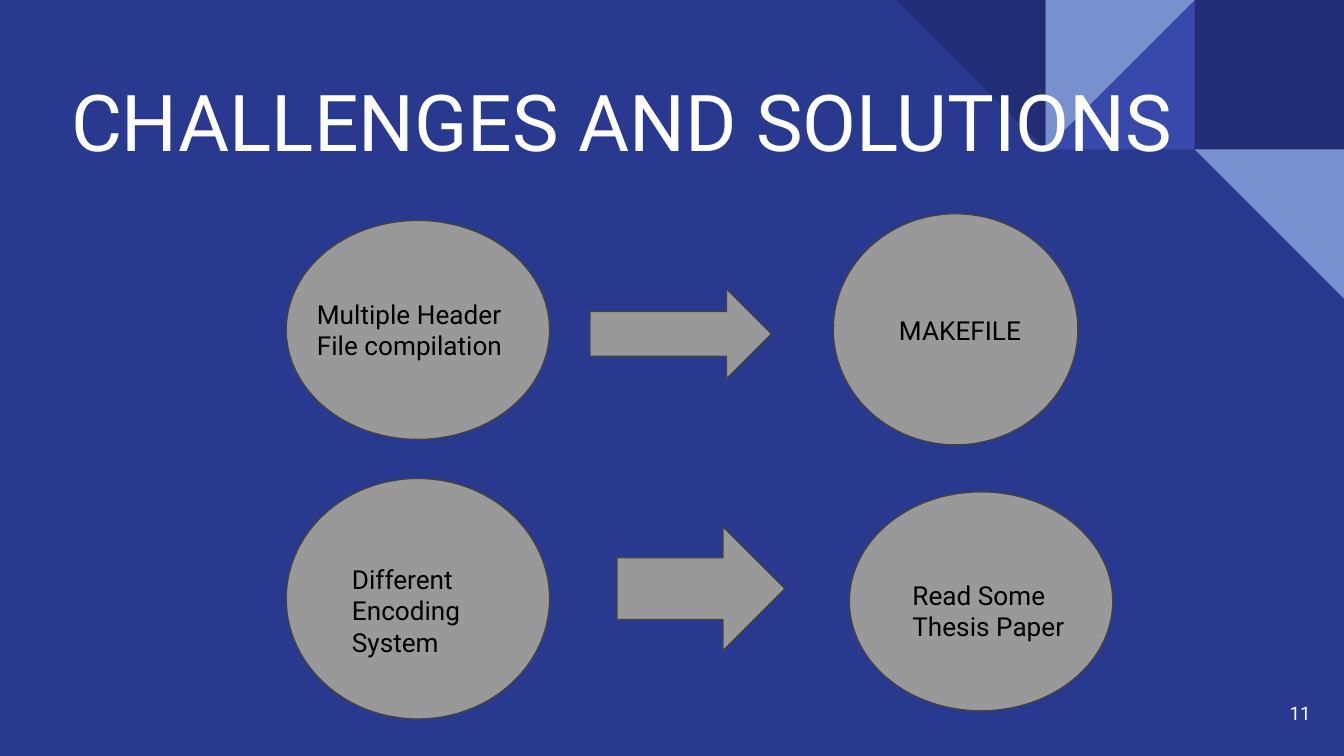
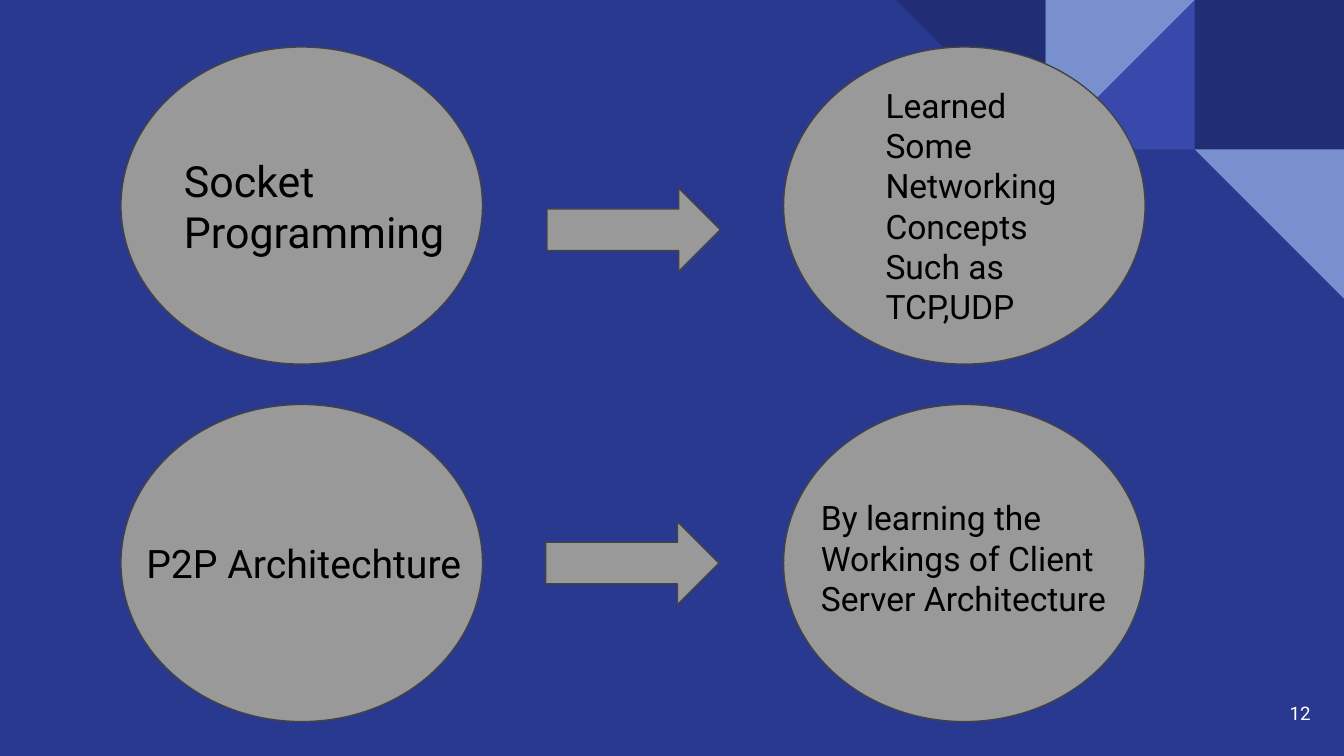
from typing import NamedTuple

from pptx import Presentation
from pptx.dml.color import RGBColor
from pptx.enum.shapes import MSO_SHAPE
from pptx.enum.text import MSO_ANCHOR, PP_ALIGN
from pptx.util import Inches, Pt

WIDTH = Inches(10)
HEIGHT = WIDTH * 9 // 16
UNIT = WIDTH // 100  # one grid column or row; the page is 100 columns wide
TILE = 100 / 9  # corner pattern: nine tiles across the page
LABEL_WIDTH = 80.3

BLUE = RGBColor(0x2A, 0x39, 0x90)
NAVY = RGBColor(0x21, 0x2D, 0x74)
INDIGO = RGBColor(0x39, 0x49, 0xAB)
SKY = RGBColor(0x78, 0x90, 0xCD)
GRAY = RGBColor(0x99, 0x99, 0x99)
OUTLINE = RGBColor(0x43, 0x43, 0x43)
BLACK = RGBColor(0, 0, 0)
WHITE = RGBColor(0xFF, 0xFF, 0xFF)


class Area(NamedTuple):
    """A rectangle in grid columns and rows."""
    left: float
    top: float
    width: float
    height: float

    def lengths(self) -> list[int]:
        return [round(value * UNIT) for value in self]


class Tile(NamedTuple):
    kind: MSO_SHAPE
    column: int
    row: int
    rotation: int
    color: RGBColor


class Label(NamedTuple):
    left: float
    top: float
    height: float
    size: int
    lines: list[str]


class Content(NamedTuple):
    number: int
    title: str
    ellipses: list[Area]
    arrows: list[Area]
    labels: list[Label]


CORNER = [
    Tile(MSO_SHAPE.RECTANGLE, 8, 0, 0, NAVY),
    Tile(MSO_SHAPE.RIGHT_TRIANGLE, 7, 0, 270, INDIGO),
    Tile(MSO_SHAPE.RIGHT_TRIANGLE, 7, 0, 90, SKY),
    Tile(MSO_SHAPE.RIGHT_TRIANGLE, 6, 0, 180, NAVY),
    Tile(MSO_SHAPE.RIGHT_TRIANGLE, 8, 1, 180, SKY),
]

TITLE_AREA = Area(4.3, 4.3, 89.9, 9.2)
NUMBER_AREA = Area(92.5, 50.9, 6, 4.3)

CONTENTS = [
    Content(
        11, "CHALLENGES AND SOLUTIONS",
        [Area(21.3, 16.4, 19.6, 16.3), Area(62, 15.9, 18.2, 17.2),
         Area(21.3, 35.6, 19.6, 17.9), Area(63.2, 36.6, 19.6, 16.3)],
        [Area(43.9, 21.5, 13.5, 6.7), Area(45.9, 39.2, 12.5, 9.2)],
        [Label(22.6, 21.2, 6.7, 14, ["Multiple Header", "File compilation"]),
         Label(65.9, 22.4, 4.4, 14, ["MAKEFILE"]),
         Label(25.2, 40.9, 9.1, 14, ["Different", "Encoding", "System"]),
         Label(66.9, 42.1, 6.7, 14, ["Read Some", "Thesis Paper"])],
    ),
    Content(
        12, "",
        [Area(left, top, 26.9, 23.6) for top in (3.5, 30.1) for left in (9, 58.3)],
        [Area(40.7, 14, 12.9, 6.2), Area(40.6, 38.8, 12.9, 6.2)],
        [Label(12.7, 10.5, 9.8, 23, ["Socket", "Programming"]),
         Label(64.9, 5.3, 20.2, 18, ["Learned", "Some", "Networking", "Concepts",
                                     "Such as", "TCP,UDP"]),
         Label(9.9, 39.1, 5.6, 21, ["P2P Architechture"]),
         Label(60.1, 36, 11.1, 18, ["By learning the", "Workings of Client",
                                    "Server Architecture"])],
    ),
]


def add_figure(page, kind: MSO_SHAPE, area: Area, color: RGBColor,
               outline: RGBColor | None = None, rotation: int = 0) -> None:
    figure = page.shapes.add_shape(kind, *area.lengths())
    figure.shadow.inherit = False
    figure.rotation = rotation
    figure.fill.solid()
    figure.fill.fore_color.rgb = color
    if outline is None:
        figure.line.fill.background()
    else:
        figure.line.color.rgb = outline
        figure.line.width = Pt(0.75)


def add_text(page, area: Area, lines: list[str], size: int, color: RGBColor,
             anchor: MSO_ANCHOR = MSO_ANCHOR.TOP,
             alignment: PP_ALIGN = PP_ALIGN.LEFT) -> None:
    frame = page.shapes.add_textbox(*area.lengths()).text_frame
    margins = {f"margin_{side}": UNIT for side in ("left", "top", "right", "bottom")}
    for name, value in {"word_wrap": True, "vertical_anchor": anchor, **margins}.items():
        setattr(frame, name, value)
    for index, line in enumerate(lines):
        para = frame.add_paragraph() if index else frame.paragraphs[0]
        para.alignment = alignment
        span = para.add_run()
        span.text = line
        for name, value in {"name": "Roboto", "size": Pt(size)}.items():
            setattr(span.font, name, value)
        span.font.color.rgb = color


def add_corner(page) -> None:
    for tile in CORNER:
        area = Area(tile.column * TILE, tile.row * TILE, TILE, TILE)
        add_figure(page, tile.kind, area, tile.color, rotation=tile.rotation)


def add_page(deck, content: Content) -> None:
    page = deck.slides.add_slide(deck.slide_layouts[6])
    page.background.fill.solid()
    page.background.fill.fore_color.rgb = BLUE
    add_corner(page)
    if content.title:
        add_text(page, TITLE_AREA, [content.title], 42, WHITE, MSO_ANCHOR.MIDDLE)
    for area in content.ellipses:
        add_figure(page, MSO_SHAPE.OVAL, area, GRAY, OUTLINE)
    for area in content.arrows:
        add_figure(page, MSO_SHAPE.RIGHT_ARROW, area, GRAY, OUTLINE)
    for label in content.labels:
        width = min(LABEL_WIDTH, 100 - label.left)
        area = Area(label.left, label.top, width, label.height)
        add_text(page, area, label.lines, label.size, BLACK)
    add_text(page, NUMBER_AREA, [str(content.number)], 10, WHITE,
             MSO_ANCHOR.MIDDLE, PP_ALIGN.RIGHT)


def main() -> None:
    deck = Presentation()
    deck.slide_width, deck.slide_height = WIDTH, HEIGHT
    for content in CONTENTS:
        add_page(deck, content)
    deck.save("out.pptx")


if __name__ == "__main__":
    main()
